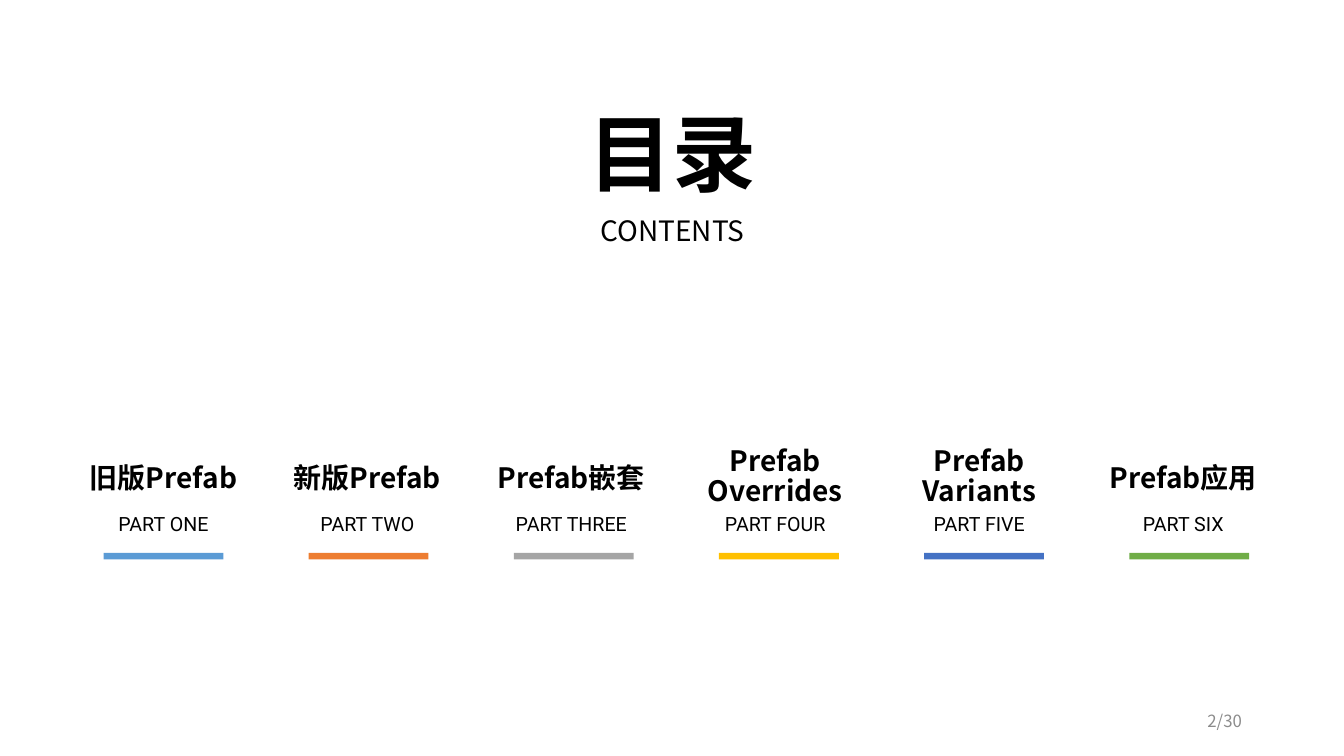
"""Build a contents slide with six colour-marked parts."""
from dataclasses import dataclass

import lxml.etree
import pptx
import pptx.dml.color
import pptx.enum.shapes
import pptx.enum.text
import pptx.oxml.ns
import pptx.util

Cm = pptx.util.Cm
PP_ALIGN = pptx.enum.text.PP_ALIGN
MSO_ANCHOR = pptx.enum.text.MSO_ANCHOR


@dataclass(frozen=True)
class Theme:
    """Colours, fonts and type sizes in points."""
    ink: str = "000000"
    muted: str = "8C8C8C"
    main_font: str = "Noto Sans CJK SC"
    label_font: str = "Roboto"
    title: int = 60
    heading: int = 20
    label: int = 14
    page: int = 12


@dataclass(frozen=True)
class Box:
    """A rectangle in centimetres."""
    left: float
    top: float
    width: float
    height: float


@dataclass(frozen=True)
class Part:
    """One entry of the contents."""
    heading: str
    label: str
    color: str
    heading_top: float = 11.58


THEME = Theme()
PART_LEFT, PART_PITCH = 1.55, 5.14
BAR_LEFT, BAR_PITCH = 2.61, 5.17
TWO_LINE_TOP = 11.15
PARTS = [
    Part("旧版Prefab", "PART ONE", "5B9BD5"),
    Part("新版Prefab", "PART TWO", "ED7D31"),
    Part("Prefab嵌套", "PART THREE", "A5A5A5"),
    Part("Prefab Overrides", "PART FOUR", "FFC000", TWO_LINE_TOP),
    Part("Prefab Variants", "PART FIVE", "4472C4", TWO_LINE_TOP),
    Part("Prefab应用", "PART SIX", "70AD47"),
]


def rgb(color: str) -> pptx.dml.color.RGBColor:
    """Turn a hex string into a colour."""
    return pptx.dml.color.RGBColor.from_string(color)


def add_text(s, text: str, box: Box, *, size: int, font: str = THEME.main_font,
             color: str = THEME.ink, bold: bool = False,
             align: PP_ALIGN = PP_ALIGN.CENTER, anchor: MSO_ANCHOR = MSO_ANCHOR.TOP,
             line_spacing: float = 0.9, space_before: int = 10) -> None:
    """Add a wrapped text box holding one formatted paragraph."""
    sp = s.shapes.add_textbox(Cm(box.left), Cm(box.top), Cm(box.width), Cm(box.height))
    tf = sp.text_frame
    tf.word_wrap = True
    tf.vertical_anchor = anchor
    p = tf.paragraphs[0]
    p.alignment = align
    p.line_spacing = line_spacing
    p.space_before = pptx.util.Pt(space_before)
    r = p.add_run()
    r.text = text
    r.font.size = pptx.util.Pt(size)
    r.font.bold = bold
    r.font.color.rgb = rgb(color)
    r.font.name = font
    ea = lxml.etree.SubElement(r.font._element, pptx.oxml.ns.qn("a:ea"))
    ea.set("typeface", font)


def add_bar(s, box: Box, color: str) -> None:
    """Add a solid bar without an outline."""
    sp = s.shapes.add_shape(pptx.enum.shapes.MSO_SHAPE.RECTANGLE,
                            Cm(box.left), Cm(box.top), Cm(box.width), Cm(box.height))
    sp.shadow.inherit = False
    sp.fill.solid()
    sp.fill.fore_color.rgb = rgb(color)
    sp.line.fill.background()


def add_part(s, i: int, part: Part) -> None:
    """Add the heading, label and bar of one part."""
    left = PART_LEFT + i * PART_PITCH
    add_text(s, part.heading, Box(left, part.heading_top, 5.14, 1.27),
             size=THEME.heading, bold=True)
    add_text(s, part.label, Box(left, 12.84, 5.14, 1.27),
             size=THEME.label, font=THEME.label_font)
    add_bar(s, Box(BAR_LEFT + i * BAR_PITCH, 13.93, 3.02, 0.17), part.color)


def main() -> None:
    """Build and save the slide."""
    prs = pptx.Presentation()
    prs.slide_width, prs.slide_height = Cm(33.87), Cm(19.05)
    s = prs.slides.add_slide(prs.slide_layouts[6])
    add_text(s, "目录", Box(10.57, 2.84, 12.75, 2.46), size=THEME.title, bold=True,
             anchor=MSO_ANCHOR.MIDDLE, line_spacing=0.8)
    add_text(s, "CONTENTS", Box(10.57, 5.31, 12.75, 1.12), size=THEME.heading,
             anchor=MSO_ANCHOR.MIDDLE)
    for i, part in enumerate(PARTS):
        add_part(s, i, part)
    add_text(s, "2/30", Box(23.93, 17.65, 7.62, 1.02), size=THEME.page, color=THEME.muted,
             align=PP_ALIGN.RIGHT, anchor=MSO_ANCHOR.MIDDLE, line_spacing=1.0, space_before=0)
    prs.save("out.pptx")


if __name__ == "__main__":
    main()
